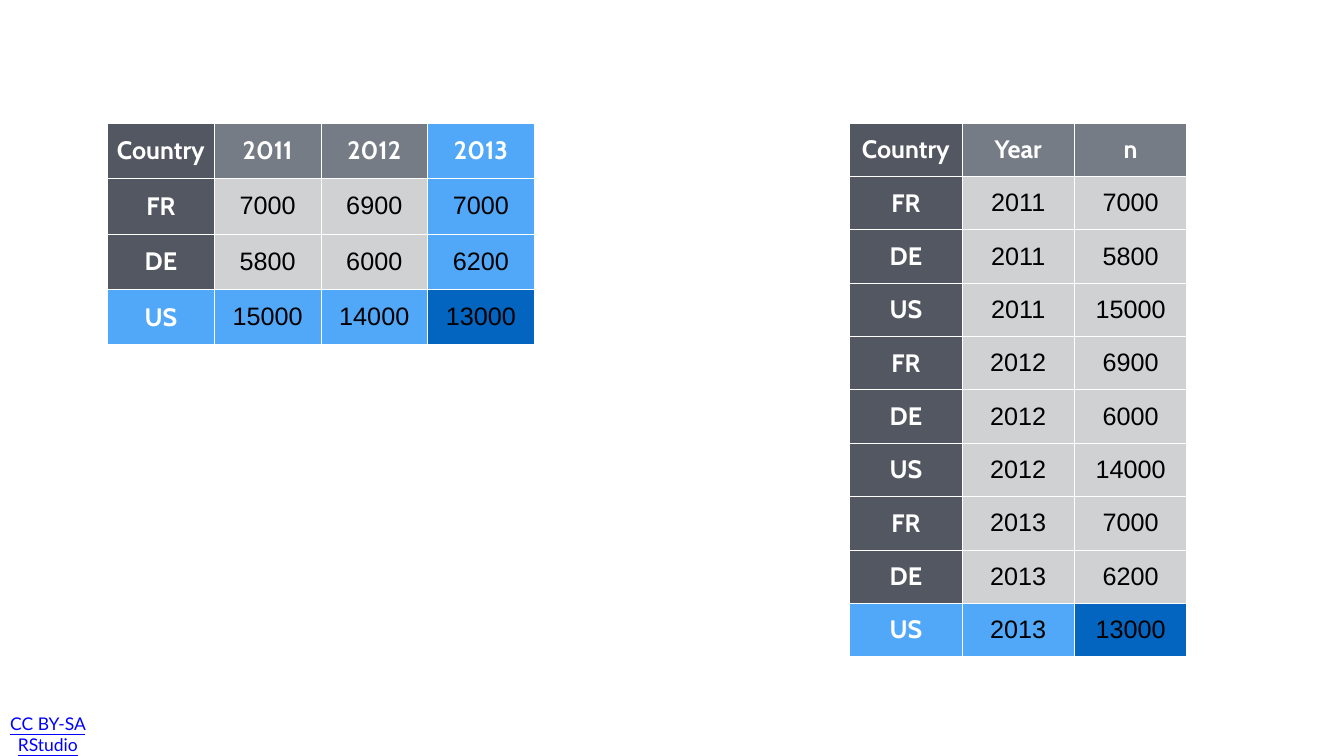
from dataclasses import dataclass

from pptx import Presentation
from pptx.dml.color import RGBColor as Color
from pptx.enum.text import MSO_ANCHOR as Anchor, PP_ALIGN as Align
from pptx.oxml import parse_xml
from pptx.oxml.ns import nsdecls
from pptx.util import Inches, Pt


@dataclass(frozen=True)
class Theme:
    white: str = "FFFFFF"
    black: str = "000000"
    link: str = "0000FF"
    header: str = "767C85"
    stub: str = "535761"
    body: str = "D0D1D2"
    highlight: str = "51A8F9"
    target: str = "0365C0"
    label_font: str = "Cabin"
    value_font: str = "Arial"
    credit_font: str = "Lato"
    table_size: int = 36
    credit_size: int = 25


THEME = Theme()
WIDTH, HEIGHT = Inches(26.67), Inches(15)
COUNTRIES = ["FR", "DE", "US"]
COUNTS = {
    "2011": [7000, 5800, 15000],
    "2012": [6900, 6000, 14000],
    "2013": [7000, 6200, 13000],
}


def percent_box(left, top, width, height):
    return (
        round(WIDTH * left / 100),
        round(HEIGHT * top / 100),
        round(WIDTH * width / 100),
        round(HEIGHT * height / 100),
    )


def write_text(text_frame, text, *, font, size, color, bold=False, underline=False):
    paragraph = text_frame.paragraphs[0]
    paragraph.alignment = Align.CENTER
    run = paragraph.add_run()
    run.text = text
    run.font.name = font
    run.font.size = Pt(size)
    run.font.color.rgb = Color.from_string(color)
    run.font.bold = bold
    run.font.underline = underline


def add_borders(cell):
    properties = cell._tc.get_or_add_tcPr()
    for side in ("lnL", "lnR", "lnT", "lnB"):
        properties.append(parse_xml(
            f'<a:{side} {nsdecls("a")} w="{Pt(1)}"><a:solidFill>'
            f'<a:srgbClr val="{THEME.white}"/></a:solidFill></a:{side}>'
        ))


def cell_fill(row, column, last_row, last_column, highlight_column):
    if (row, column) == (last_row, last_column):
        return THEME.target
    if row == last_row or (highlight_column and column == last_column):
        return THEME.highlight
    if column == 0:
        return THEME.stub
    return THEME.header if row == 0 else THEME.body


def add_data_table(slide, box, rows, highlight_column=False):
    left, top, width, height = box
    row_count, column_count = len(rows), len(rows[0])
    table = slide.shapes.add_table(row_count, column_count, *box).table
    table.first_row = table.horz_banding = False
    for column in table.columns:
        column.width = width // column_count
    for row in table.rows:
        row.height = height // row_count
    for row_index, values in enumerate(rows):
        for column_index, value in enumerate(values):
            cell = table.cell(row_index, column_index)
            cell.vertical_anchor = Anchor.MIDDLE
            cell.margin_left = cell.margin_right = Inches(0.06)
            cell.margin_top = cell.margin_bottom = Inches(0.06)
            add_borders(cell)
            cell.fill.solid()
            cell.fill.fore_color.rgb = Color.from_string(cell_fill(
                row_index, column_index, row_count - 1, column_count - 1, highlight_column
            ))
            label = row_index == 0 or column_index == 0
            write_text(
                cell.text_frame,
                str(value),
                font=THEME.label_font if label else THEME.value_font,
                size=THEME.table_size,
                color=THEME.white if label else THEME.black,
                bold=label,
            )


def add_credit(slide, box):
    text_frame = slide.shapes.add_textbox(*box).text_frame
    text_frame.word_wrap = True
    text_frame.vertical_anchor = Anchor.MIDDLE
    text_frame.margin_left = Inches(0.06)
    text_frame.margin_right = Inches(1.06)
    text_frame.margin_top = text_frame.margin_bottom = Inches(0.08)
    write_text(
        text_frame,
        "CC BY-SA RStudio",
        font=THEME.credit_font,
        size=THEME.credit_size,
        color=THEME.link,
        underline=True,
    )


def main():
    presentation = Presentation()
    presentation.slide_width, presentation.slide_height = WIDTH, HEIGHT
    slide = presentation.slides.add_slide(presentation.slide_layouts[6])

    wide_rows = [["Country", *COUNTS], *zip(COUNTRIES, *COUNTS.values())]
    long_rows = [["Country", "Year", "n"]] + [
        [country, year, count]
        for year, counts in COUNTS.items()
        for country, count in zip(COUNTRIES, counts)
    ]
    add_credit(slide, percent_box(0.45, 95.07, 9.97, 4))
    add_data_table(slide, percent_box(8, 16.27, 31.76, 29.33), wide_rows, highlight_column=True)
    add_data_table(slide, percent_box(63.22, 16.27, 25.08, 70.6), long_rows)
    presentation.save("out.pptx")


if __name__ == "__main__":
    main()
